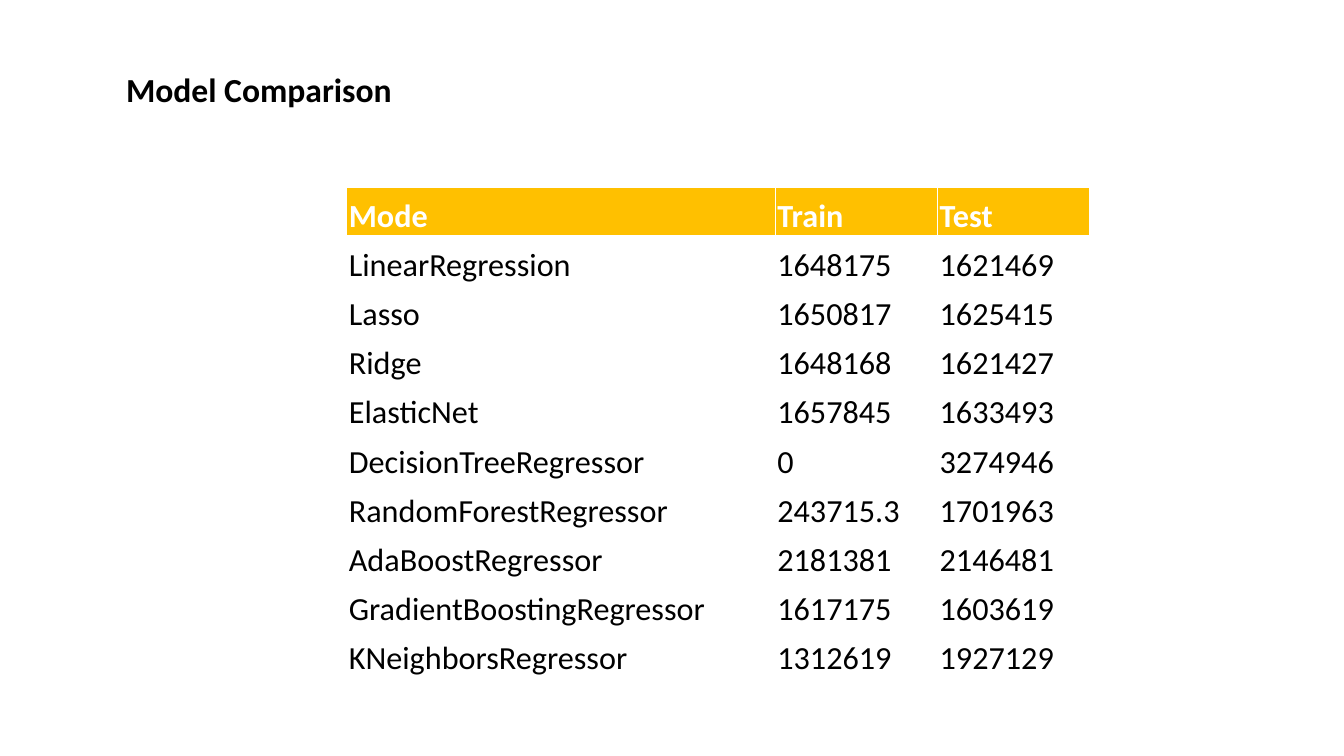
from lxml import etree
from pptx import Presentation
from pptx import util as u
from pptx.dml.color import RGBColor
from pptx.enum import text
from pptx.oxml.ns import qn

HEADING = "Model Comparison"
SCORES = [
    ("Mode", "Train", "Test"),
    ("LinearRegression", "1648175", "1621469"),
    ("Lasso", "1650817", "1625415"),
    ("Ridge", "1648168", "1621427"),
    ("ElasticNet", "1657845", "1633493"),
    ("DecisionTreeRegressor", "0", "3274946"),
    ("RandomForestRegressor", "243715.3", "1701963"),
    ("AdaBoostRegressor", "2181381", "2146481"),
    ("GradientBoostingRegressor", "1617175", "1603619"),
    ("KNeighborsRegressor", "1312619", "1927129"),
]
COLORS = {"ink": "000000", "paper": "FFFFFF", "header": "FFC000"}
COLUMN_WIDTHS = (4.25, 1.61, 1.51)
TABLE_LEFT, TABLE_TOP, TABLE_HEIGHT = 3.44, 1.86, 4.87
HEADING_BOX = {"left": 1.15, "top": 0.59, "width": 3.65, "height": 0.91}
HEADING_FRAME = {
    "word_wrap": True,
    "auto_size": text.MSO_AUTO_SIZE.NONE,
    "vertical_anchor": text.MSO_ANCHOR.TOP,
}
CELL_FORMAT = {
    "vertical_anchor": text.MSO_ANCHOR.BOTTOM,
    "margin_left": u.Inches(0.02),
    "margin_right": u.Inches(0.02),
    "margin_top": u.Inches(0.02),
    "margin_bottom": 0,
}


def apply(target, values):
    for name, value in values.items():
        setattr(target, name, value)


def write(paragraph, words, size, color, bold):
    run = paragraph.add_run()
    run.text = words
    apply(run.font, {"name": "Calibri", "size": u.Pt(size), "bold": bold})
    run.font.color.rgb = RGBColor.from_string(COLORS[color])


def add_borders(cell, bottom):
    properties = cell._tc.get_or_add_tcPr()
    sides = (("lnL", 1), ("lnR", 1), ("lnT", 1), ("lnB", bottom))
    for position, (side, points) in enumerate(sides):
        border = etree.Element(qn(f"a:{side}"), w=str(u.Pt(points)))
        fill = etree.SubElement(border, qn("a:solidFill"))
        etree.SubElement(fill, qn("a:srgbClr"), val=COLORS["paper"])
        properties.insert(position, border)


def add_heading(slide):
    heading = slide.shapes.title
    apply(heading, {side: u.Inches(size) for side, size in HEADING_BOX.items()})
    apply(heading.text_frame, HEADING_FRAME)
    line = heading.text_frame.paragraphs[0]
    apply(line, {"alignment": text.PP_ALIGN.LEFT, "line_spacing": 1.1})
    write(line, HEADING, 24, "ink", True)


def add_scores(slide):
    table = slide.shapes.add_table(
        len(SCORES), len(COLUMN_WIDTHS),
        u.Inches(TABLE_LEFT), u.Inches(TABLE_TOP),
        u.Inches(sum(COLUMN_WIDTHS)), u.Inches(TABLE_HEIGHT),
    ).table
    for column, width in zip(table.columns, COLUMN_WIDTHS):
        column.width = u.Inches(width)
    for r, scores in enumerate(SCORES):
        is_header = r == 0
        for c, score in enumerate(scores):
            cell = table.cell(r, c)
            apply(cell, CELL_FORMAT)
            cell.fill.solid()
            cell.fill.fore_color.rgb = RGBColor.from_string(
                COLORS["header" if is_header else "paper"])
            add_borders(cell, 3 if is_header else 1)
            write(cell.text_frame.paragraphs[0], score, 23,
                  "paper" if is_header else "ink", is_header)


def main():
    deck = Presentation()
    apply(deck, {"slide_width": u.Inches(13.33), "slide_height": u.Inches(7.5)})
    slide = deck.slides.add_slide(deck.slide_layouts[5])
    add_heading(slide)
    add_scores(slide)
    deck.save("out.pptx")


if __name__ == "__main__":
    main()
